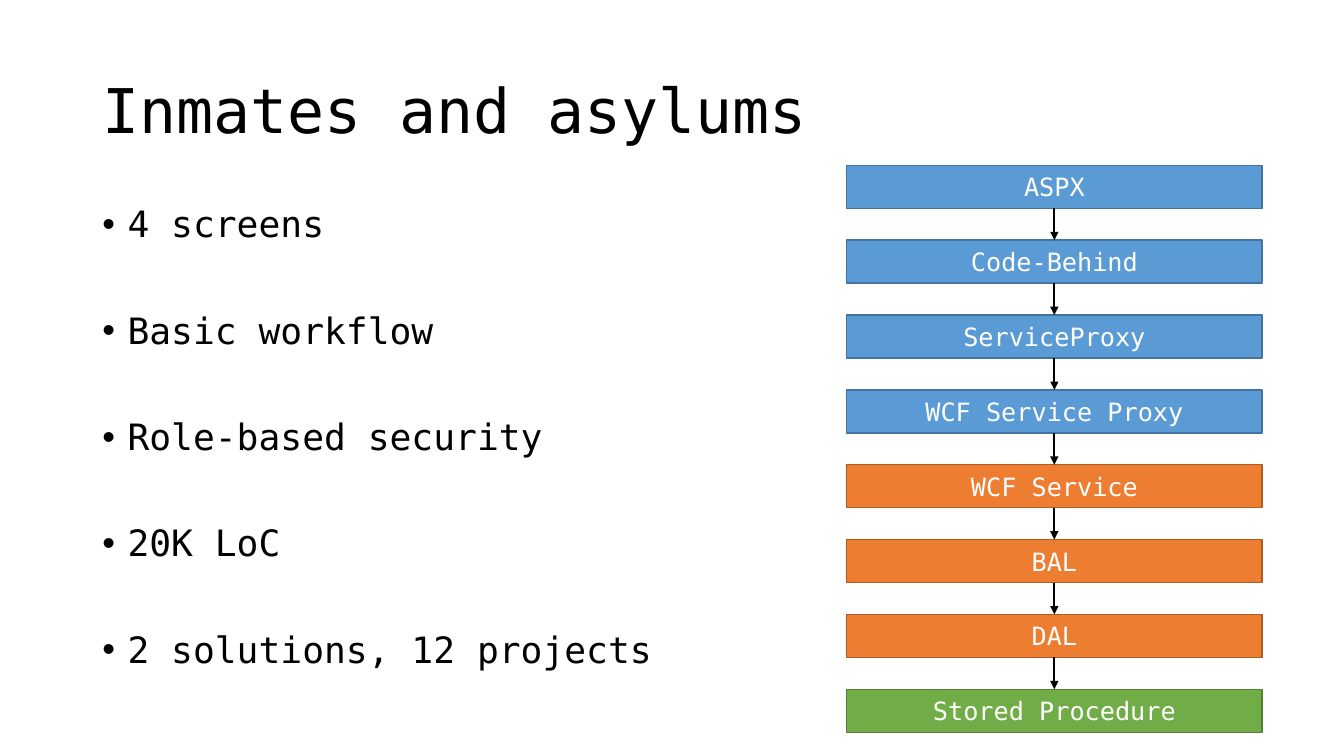
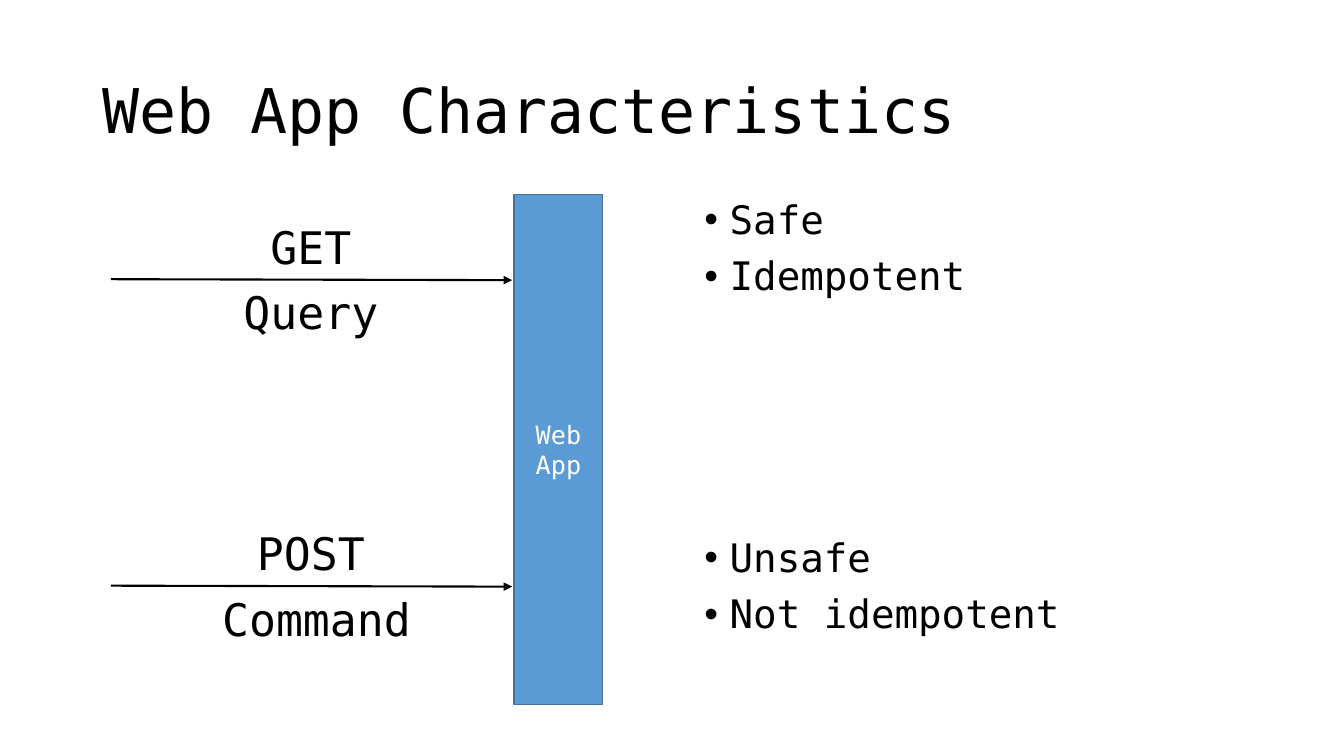
from dataclasses import dataclass
from itertools import pairwise

from lxml.etree import SubElement
from pptx import Presentation
from pptx.dml.color import RGBColor
from pptx.enum.shapes import MSO_CONNECTOR, MSO_SHAPE
from pptx.enum.text import MSO_ANCHOR, PP_ALIGN
from pptx.oxml.ns import qn
from pptx.shapes.autoshape import Shape
from pptx.shapes.connector import Connector
from pptx.slide import Slide
from pptx.util import Emu, Inches, Pt

SLIDE_WIDTH, SLIDE_HEIGHT = Inches(13.33), Inches(7.5)
GRID = 100  # columns across and rows down the slide
FONT_NAME = "DejaVu Sans Mono"
BLACK, WHITE = "000000", "FFFFFF"
BULLET_INDENT = Inches(0.25)
BULLET_GAP = 10

BULLET_FORMAT = {"line_spacing": 0.9}
TITLE_FORMAT = {"line_spacing": 0.9}
CENTERED_FORMAT = {"alignment": PP_ALIGN.CENTER}


@dataclass(frozen=True)
class Area:
    """A rectangle in grid columns and rows."""
    left: float
    top: float
    width: float
    height: float


@dataclass(frozen=True)
class Palette:
    fill: str
    outline: str


@dataclass(frozen=True)
class Layer:
    name: str
    palette: Palette


@dataclass(frozen=True)
class Bullet:
    text: str
    space_before: float = BULLET_GAP


@dataclass(frozen=True)
class Request:
    method: str
    purpose: str
    row: float
    purpose_left: float
    purpose_width: float


BLUE = Palette("5B9BD5", "43739E")
ORANGE = Palette("ED7D31", "AF5C24")
GREEN = Palette("70AD47", "538035")

TITLE_AREA = Area(6.88, 5.33, 86.25, 19.33)
FACTS_AREA = Area(6.88, 26.65, 42.5, 63.45)
TRAITS_AREA = Area(51.68, 25.87, 42.5, 63.45)
WEB_APP_AREA = Area(38.25, 25.73, 6.6, 67.47)

FIRST_LAYER = Area(63, 21.87, 30.9, 5.7)
LAYER_STEP = 9.9
LAYERS = (
    Layer("ASPX", BLUE),
    Layer("Code-Behind", BLUE),
    Layer("ServiceProxy", BLUE),
    Layer("WCF Service Proxy", BLUE),
    Layer("WCF Service", ORANGE),
    Layer("BAL", ORANGE),
    Layer("DAL", ORANGE),
    Layer("Stored Procedure", GREEN),
)

FACT_GAP = 48
FACTS = (
    Bullet("4 screens"),
    Bullet("Basic workflow", FACT_GAP),
    Bullet("Role-based security", FACT_GAP),
    Bullet("20K LoC", FACT_GAP),
    Bullet("2 solutions, 12 projects", FACT_GAP),
)
TRAITS = (
    Bullet("Safe"),
    Bullet("Idempotent"),
    Bullet("Unsafe", 171),
    Bullet("Not idempotent"),
)

ARROW_LEFT, ARROW_RIGHT, ARROW_DROP = 8.25, 38.1, 0.13
LABEL_LEFT, LABEL_WIDTH, LABEL_HEIGHT = 15.75, 14.78, 8.53
REQUESTS = (
    Request("GET", "Query", 36.93, LABEL_LEFT, LABEL_WIDTH),
    Request("POST", "Command", 77.47, 15.68, 15.75),
)


def color(value: str) -> RGBColor:
    return RGBColor.from_string(value)


def across(columns: float) -> Emu:
    return Emu(round(SLIDE_WIDTH * columns / GRID))


def down(rows: float) -> Emu:
    return Emu(round(SLIDE_HEIGHT * rows / GRID))


def bounds(area: Area) -> tuple[Emu, Emu, Emu, Emu]:
    return across(area.left), down(area.top), across(area.width), down(area.height)


def write(paragraph, text: str, size: float, text_color: str, paragraph_format: dict) -> None:
    for name, value in paragraph_format.items():
        setattr(paragraph, name, value)
    run = paragraph.add_run()
    run.text = text
    for name, value in {"name": FONT_NAME, "size": Pt(size)}.items():
        setattr(run.font, name, value)
    run.font.color.rgb = color(text_color)


def add_text(slide: Slide, area: Area, text: str, size: float, paragraph_format: dict,
             anchor: MSO_ANCHOR = MSO_ANCHOR.TOP) -> None:
    frame = slide.shapes.add_textbox(*bounds(area)).text_frame
    frame.word_wrap = True
    frame.vertical_anchor = anchor
    write(frame.paragraphs[0], text, size, BLACK, paragraph_format)


def add_bullets(slide: Slide, area: Area, bullets: tuple[Bullet, ...], size: float) -> None:
    frame = slide.shapes.add_textbox(*bounds(area)).text_frame
    frame.word_wrap = True
    for index, bullet in enumerate(bullets):
        paragraph = frame.add_paragraph() if index else frame.paragraphs[0]
        spacing = {"space_before": Pt(bullet.space_before)}
        write(paragraph, bullet.text, size, BLACK, BULLET_FORMAT | spacing)
        properties = paragraph._p.get_or_add_pPr()
        properties.set("marL", str(BULLET_INDENT))
        properties.set("indent", str(-BULLET_INDENT))
        SubElement(properties, qn("a:buFont"), typeface="Arial")
        SubElement(properties, qn("a:buChar"), char="•")


def add_box(slide: Slide, area: Area, text: str, palette: Palette) -> Shape:
    box = slide.shapes.add_shape(MSO_SHAPE.RECTANGLE, *bounds(area))
    box.shadow.inherit = False
    box.fill.solid()
    box.fill.fore_color.rgb = color(palette.fill)
    box.line.color.rgb = color(palette.outline)
    box.line.width = Pt(1)
    frame = box.text_frame
    frame.word_wrap = True
    frame.vertical_anchor = MSO_ANCHOR.MIDDLE
    write(frame.paragraphs[0], text, 18, WHITE, CENTERED_FORMAT)
    return box


def add_arrow(slide: Slide, start: tuple[Emu, Emu], end: tuple[Emu, Emu]) -> Connector:
    arrow = slide.shapes.add_connector(MSO_CONNECTOR.STRAIGHT, *start, *end)
    arrow.line.color.rgb = color(BLACK)
    arrow.line.width = Pt(1.5)
    SubElement(arrow.line._get_or_add_ln(), qn("a:tailEnd"), type="triangle")
    SubElement(arrow._element.spPr, qn("a:effectLst"))
    return arrow


def add_titled_slide(presentation, title: str) -> Slide:
    slide = presentation.slides.add_slide(presentation.slide_layouts[6])
    add_text(slide, TITLE_AREA, title, 44, TITLE_FORMAT, MSO_ANCHOR.MIDDLE)
    return slide


def add_layers(slide: Slide) -> None:
    """Stack the layers and link each one to the next."""
    first = FIRST_LAYER
    boxes = [
        add_box(slide, Area(first.left, first.top + index * LAYER_STEP, first.width, first.height),
                layer.name, layer.palette)
        for index, layer in enumerate(LAYERS)
    ]
    for upper, lower in pairwise(boxes):
        center = upper.left + upper.width // 2
        arrow = add_arrow(slide, (center, upper.top + upper.height), (center, lower.top))
        arrow.begin_connect(upper, 2)
        arrow.end_connect(lower, 0)


def add_request(slide: Slide, request: Request) -> None:
    """Draw an arrow with the method above it and the purpose below."""
    row, end_row = request.row, request.row + ARROW_DROP
    add_arrow(slide, (across(ARROW_LEFT), down(row)), (across(ARROW_RIGHT), down(end_row)))
    method_area = Area(LABEL_LEFT, row - LABEL_HEIGHT, LABEL_WIDTH, LABEL_HEIGHT)
    purpose_area = Area(request.purpose_left, end_row, request.purpose_width, LABEL_HEIGHT)
    for area, text in ((method_area, request.method), (purpose_area, request.purpose)):
        add_text(slide, area, text, 32, CENTERED_FORMAT)


def main() -> None:
    presentation = Presentation()
    presentation.slide_width, presentation.slide_height = SLIDE_WIDTH, SLIDE_HEIGHT

    architecture = add_titled_slide(presentation, "Inmates and asylums")
    add_bullets(architecture, FACTS_AREA, FACTS, 25.9)
    add_layers(architecture)

    characteristics = add_titled_slide(presentation, "Web App Characteristics")
    add_bullets(characteristics, TRAITS_AREA, TRAITS, 28)
    add_box(characteristics, WEB_APP_AREA, "Web App", BLUE)
    for request in REQUESTS:
        add_request(characteristics, request)

    presentation.save("out.pptx")


if __name__ == "__main__":
    main()
